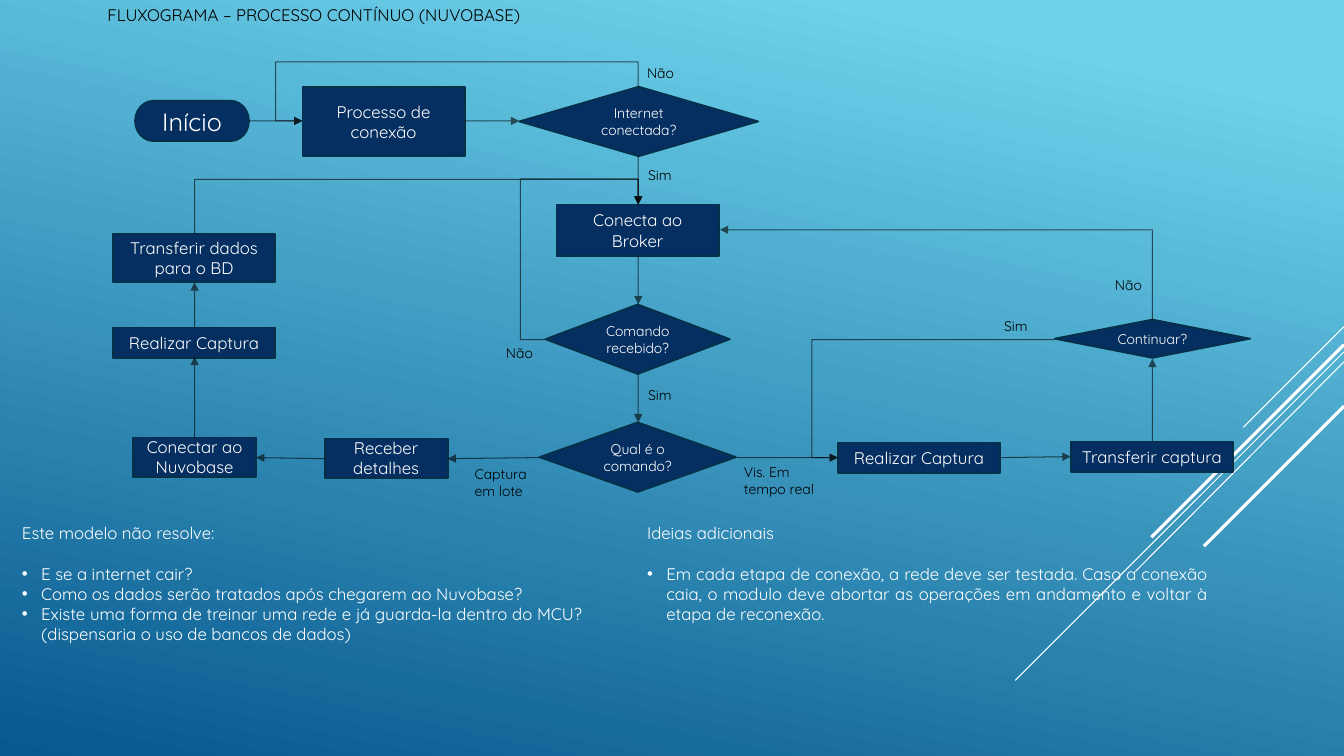
import math
import pptx
import pptx.util
import pptx.dml.color
import pptx.enum.shapes
import pptx.enum.text
import pptx.oxml
import pptx.oxml.ns
from lxml import etree

Inches = pptx.util.Inches
Pt = pptx.util.Pt
RGBColor = pptx.dml.color.RGBColor
Kind = pptx.enum.shapes.MSO_SHAPE
Wire = pptx.enum.shapes.MSO_CONNECTOR
Align = pptx.enum.text.PP_ALIGN
Anchor = pptx.enum.text.MSO_ANCHOR
qn = pptx.oxml.ns.qn

SKY = RGBColor(0x6E, 0xD2, 0xEB)
OCEAN = RGBColor(0x06, 0x58, 0x8E)
NAVY = RGBColor(0x05, 0x2F, 0x61)
EDGE = RGBColor(0x04, 0x31, 0x48)
WHITE = RGBColor(0xFF, 0xFF, 0xFF)
BLACK = RGBColor(0, 0, 0)


class Flowchart:
    font = "Quicksand"

    def __init__(self, slide):
        self.slide = slide

    def background(self, top, bottom):
        fill = self.slide.background.fill
        fill.gradient()
        fill.gradient_angle = 258
        for stop, color, position in zip(fill.gradient_stops, (top, bottom), (0.1, 1)):
            stop.color.rgb = color
            stop.position = position

    def style(self, paragraph, size, color, alignment):
        paragraph.alignment = alignment
        for run in paragraph.runs:
            run.font.name = self.font
            run.font.size = Pt(size)
            run.font.color.rgb = color

    def node(self, kind, text, left, top, width, height, size=12):
        shape = self.slide.shapes.add_shape(
            kind, Inches(left), Inches(top), Inches(width), Inches(height))
        shape.shadow.inherit = False
        shape.fill.solid()
        shape.fill.fore_color.rgb = NAVY
        shape.line.color.rgb = EDGE
        shape.line.width = Pt(1.25)
        shape.text_frame.text = text
        shape.text_frame.word_wrap = True
        shape.text_frame.vertical_anchor = Anchor.MIDDLE
        self.style(shape.text_frame.paragraphs[0], size, WHITE, Align.CENTER)

    def text(self, text, left, top, width, height, size=10, color=BLACK,
             alignment=Align.LEFT, anchor=Anchor.TOP):
        box = self.slide.shapes.add_textbox(
            Inches(left), Inches(top), Inches(width), Inches(height))
        frame = box.text_frame
        frame.word_wrap = True
        frame.vertical_anchor = anchor
        frame.text = text
        self.style(frame.paragraphs[0], size, color, alignment)
        return frame

    def notes(self, heading, items, left, top, width, height):
        frame = self.text(heading, left, top, width, height, 12, WHITE)
        for index, item in enumerate(items):
            paragraph = frame.add_paragraph()
            paragraph.text = item
            self.style(paragraph, 12, WHITE, Align.JUSTIFY)
            if index == 0:
                paragraph.space_before = Pt(14.5)
            properties = paragraph._p.get_or_add_pPr()
            properties.set("marL", str(Inches(0.19)))
            properties.set("indent", str(Inches(-0.19)))
            etree.SubElement(properties, qn("a:buFont")).set("typeface", "Arial")
            etree.SubElement(properties, qn("a:buChar")).set("char", "•")

    def line(self, start, end, color=WHITE, width=0.75, kind=Wire.STRAIGHT):
        connector = self.slide.shapes.add_connector(
            kind, *(Inches(value) for value in (*start, *end)))
        connector.line.color.rgb = color
        connector.line.width = Pt(width)
        etree.SubElement(connector._element.spPr, qn("a:effectLst"))
        return connector

    def arrow(self, start, end, kind=Wire.STRAIGHT):
        connector = self.line(start, end, BLACK, kind=kind)
        outline = connector.line._get_or_add_ln()
        color = outline.find(".//" + qn("a:srgbClr"))
        etree.SubElement(color, qn("a:alpha")).set("val", "60000")
        etree.SubElement(outline, qn("a:tailEnd")).set("type", "triangle")
        return connector

    def bend(self, start, end, rotation, *adjustments):
        center = [(a + b) / 2 for a, b in zip(start, end)]
        cosine = round(math.cos(math.radians(rotation)))
        sine = round(math.sin(math.radians(rotation)))

        def unrotate(point):
            x, y = point[0] - center[0], point[1] - center[1]
            return center[0] + x * cosine + y * sine, center[1] + y * cosine - x * sine

        connector = self.arrow(unrotate(start), unrotate(end), Wire.ELBOW)
        properties = connector._element.spPr
        properties.find(qn("a:xfrm")).set("rot", str(rotation * 60000))
        geometry = properties.find(qn("a:prstGeom"))
        geometry.set("prst", f"bentConnector{len(adjustments) + 2}")
        guides = geometry.find(qn("a:avLst"))
        if guides is None:
            guides = etree.SubElement(geometry, qn("a:avLst"))
        for number, value in enumerate(adjustments, 1):
            guide = etree.SubElement(guides, qn("a:gd"))
            guide.set("name", f"adj{number}")
            guide.set("fmla", f"val {round(value * 100000)}")


presentation = pptx.Presentation()
presentation.slide_width = Inches(13.33)
presentation.slide_height = Inches(7.5)
chart = Flowchart(presentation.slides.add_slide(presentation.slide_layouts[6]))
chart.background(SKY, OCEAN)

for right_y, end, width in [
    (3.24, (12.33, 4.24), 0.75), (3.49, (10.07, 6.75), 0.75),
    (3.59, (11.26, 5.67), 0.75), (3.42, (11.42, 5.33), 2.25),
    (4.03, (11.94, 5.42), 2.25),
]:
    chart.line((13.33, right_y), end, width=width)

chart.text("FLUXOGRAMA – PROCESSO CONTÍNUO (NUVOBASE)", 0.72, 0, 4.79, 0.3, 12,
           alignment=Align.CENTER, anchor=Anchor.MIDDLE)

chart.node(Kind.FLOWCHART_TERMINATOR, "Início", 1.34, 1, 1.13, 0.4, 18)
for text, left, top, width, height in [
    ("Processo de conexão", 3, 0.86, 1.61, 0.69),
    ("Conecta ao Broker", 5.52, 2.03, 1.61, 0.51),
    ("Conectar ao Nuvobase", 1.32, 4.34, 1.22, 0.39),
    ("Receber detalhes", 3.22, 4.35, 1.22, 0.39),
    ("Realizar Captura", 1.12, 3.25, 1.61, 0.3),
    ("Transferir dados para o BD", 1.12, 2.32, 1.61, 0.48),
    ("Realizar Captura", 8.31, 4.39, 1.61, 0.3),
    ("Transferir captura", 10.62, 4.38, 1.61, 0.3),
]:
    chart.node(Kind.FLOWCHART_PROCESS, text, left, top, width, height)
for text, left, top, width, height in [
    ("Internet conectada?", 5.15, 0.86, 2.37, 0.69),
    ("Comando recebido?", 5.41, 3.02, 1.83, 0.69),
    ("Qual é o comando?", 5.35, 4.19, 1.95, 0.69),
    ("Continuar?", 10.46, 3.17, 1.94, 0.38),
]:
    chart.node(Kind.FLOWCHART_DECISION, text, left, top, width, height, 10)

for start, end in [
    ((2.47, 1.2), (3, 1.2)), ((4.61, 1.2), (5.15, 1.2)),
    ((6.33, 1.55), (6.33, 2.03)), ((6.33, 2.54), (6.33, 3.02)),
    ((6.33, 3.71), (6.33, 4.19)), ((5.35, 4.54), (4.44, 4.55)),
    ((3.22, 4.55), (2.54, 4.54)), ((1.93, 4.34), (1.93, 3.54)),
    ((1.93, 3.25), (1.93, 2.8)), ((7.31, 4.54), (8.31, 4.54)),
    ((9.93, 4.54), (10.62, 4.53)), ((11.43, 4.38), (11.43, 3.56)),
]:
    chart.arrow(start, end)

chart.bend((6.33, 0.86), (3, 1.2), 270, -0.72, 1.08)
chart.bend((1.93, 2.32), (6.33, 2.03), 90, 1.86)
chart.bend((5.41, 3.37), (6.33, 2.03), 180, -0.27, 1.19)
chart.bend((10.46, 3.37), (8.31, 4.54), 180, 1.12)
chart.bend((11.43, 3.17), (7.14, 2.28), 270)

for text, left, top, width, height in [
    ("Não", 6.32, 0.59, 0.6, 0.27), ("Sim", 6.33, 1.6, 0.6, 0.27),
    ("Não", 4.92, 3.37, 0.6, 0.27), ("Sim", 6.33, 3.79, 0.6, 0.27),
    ("Sim", 9.86, 3.1, 0.6, 0.27), ("Não", 10.96, 2.69, 0.71, 0.27),
    ("Captura em lote", 4.61, 4.57, 0.83, 0.44),
    ("Vis. Em tempo real", 7.28, 4.55, 1, 0.44),
]:
    chart.text(text, left, top, width, height)

chart.notes("Este modelo não resolve:", [
    "E se a internet cair?",
    "Como os dados serão tratados após chegarem ao Nuvobase?",
    "Existe uma forma de treinar uma rede e já guarda-la dentro do MCU?"
    "(dispensaria o uso de bancos de dados)",
], 0.12, 5.14, 5.76, 1.31)
chart.notes("Ideias adicionais", [
    "Em cada etapa de conexão, a rede deve ser testada. Caso a conexão caia, o modulo "
    "deve abortar as operações em andamento e voltar à etapa de reconexão.",
], 6.32, 5.14, 5.76, 1.11)

presentation.save("out.pptx")
